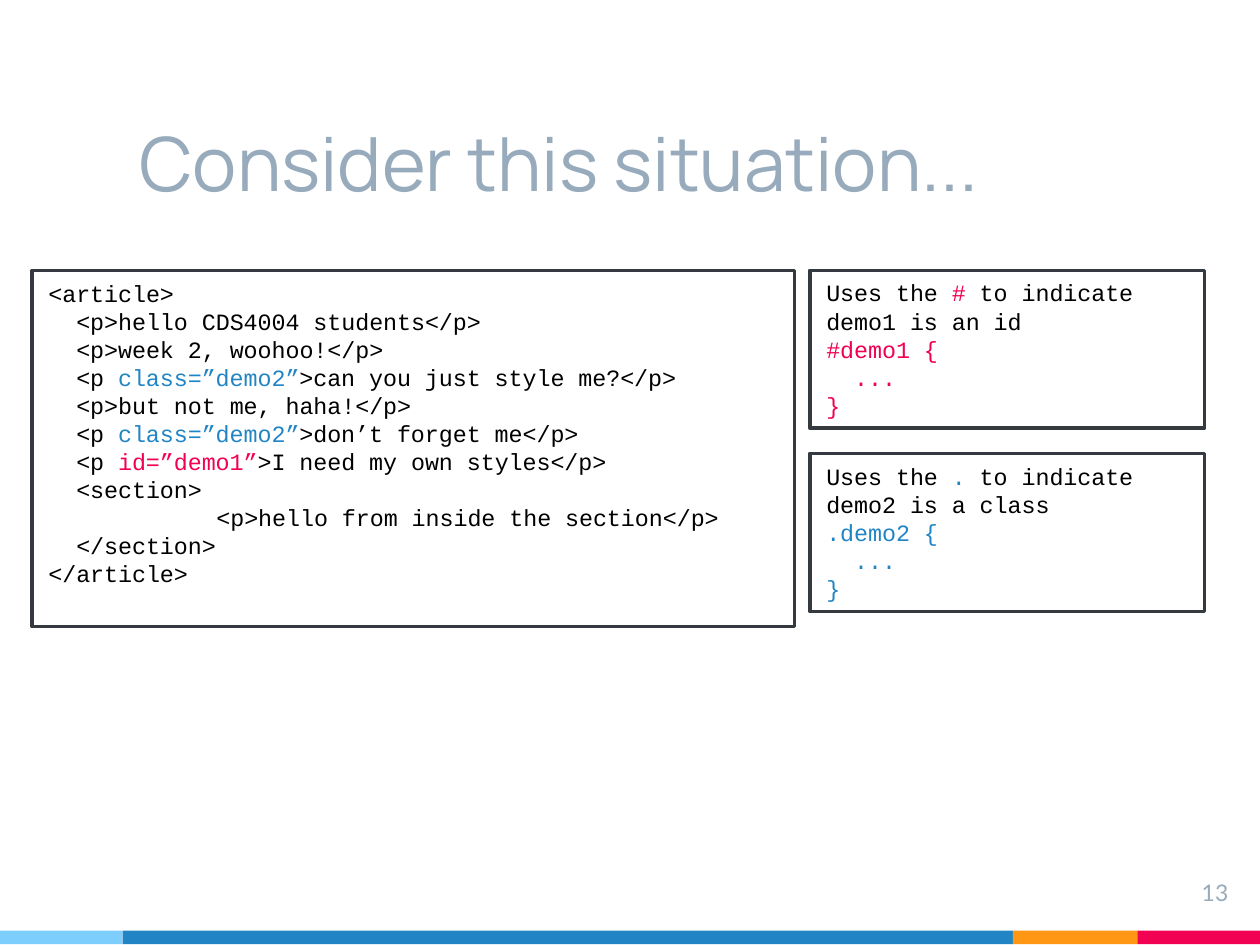
"""Build a slide on styling HTML elements by id and by class."""
from lxml import etree
from pptx import Presentation
from pptx import util as u
from pptx.dml import color
from pptx.enum import shapes, text
from pptx.oxml import ns

COLORS = {
    "title": "97ABBC", "border": "343A40", "code": "000000",
    "id": "F20052", "class": "2185C5",
    "sky": "7ECEFD", "blue": "2185C5", "orange": "FF9715", "pink": "F20253",
}
FOOTER_BANDS = [("sky", 0.73), ("blue", 5.3), ("orange", 0.74), ("pink", 0.73)]
CLASS_ATTRIBUTE = ("class=”demo2”", "class")
ARTICLE = [
    ["<article>"],
    ["  <p>hello CDS4004 students</p>"],
    ["  <p>week 2, woohoo!</p>"],
    ["  <p ", CLASS_ATTRIBUTE, ">can you just style me?</p>"],
    ["  <p>but not me, haha!</p>"],
    ["  <p ", CLASS_ATTRIBUTE, ">don’t forget me</p>"],
    ["  <p ", ("id=”demo1”", "id"), ">I need my own styles</p>"],
    ["  <section>"],
    ["\t<p>hello from inside the section</p>"],
    ["  </section>"],
    ["</article>"],
]


def rgb(name):
    """Return the named colour."""
    return color.RGBColor.from_string(COLORS[name])


def set_font(font, name, size, tint):
    """Set the typeface, size and colour of a font."""
    font.name, font.size = name, u.Pt(size)
    font.color.rgb = rgb(tint)


def add_tab_stop(para, position):
    """Add a left tab stop to a paragraph."""
    stops = etree.SubElement(para._p.get_or_add_pPr(), ns.qn("a:tabLst"))
    etree.SubElement(stops, ns.qn("a:tab"), pos=str(u.Inches(position)), algn="l")


def add_box(page, left, top, width, height):
    """Add a plain rectangle without a shadow."""
    box = page.shapes.add_shape(
        shapes.MSO_SHAPE.RECTANGLE,
        u.Inches(left), u.Inches(top), u.Inches(width), u.Inches(height))
    box.shadow.inherit = False
    return box


def add_footer(page):
    """Add the row of coloured bands along the bottom edge."""
    left = 0
    for name, width in FOOTER_BANDS:
        band = add_box(page, left, 5.54, width, 0.08)
        band.fill.solid()
        band.fill.fore_color.rgb = rgb(name)
        band.line.fill.background()
        left += width


def set_insets(frame):
    """Give a text frame equal insets on all sides."""
    frame.margin_left = frame.margin_right = u.Inches(0.1)
    frame.margin_top = frame.margin_bottom = u.Inches(0.1)


def add_title(page, wording):
    """Place and format the title placeholder."""
    title = page.shapes.title
    title.left, title.top = u.Inches(0.73), u.Inches(0.39)
    title.width, title.height = u.Inches(6.44), u.Inches(0.94)
    frame = title.text_frame
    frame.text = wording
    set_insets(frame)
    frame.auto_size = text.MSO_AUTO_SIZE.NONE
    frame.vertical_anchor = text.MSO_ANCHOR.BOTTOM
    para = frame.paragraphs[0]
    para.alignment = text.PP_ALIGN.LEFT
    set_font(para.font, "Manrope", 32, "title")


def add_page_number(page, number):
    """Add the page number at the lower right."""
    box = page.shapes.add_textbox(
        u.Inches(6.96), u.Inches(5.15), u.Inches(0.45), u.Inches(0.34))
    frame = box.text_frame
    frame.word_wrap = True
    set_insets(frame)
    para = frame.paragraphs[0]
    para.text = number
    para.alignment = text.PP_ALIGN.RIGHT
    set_font(para.font, "Lato", 9.8, "title")


def add_code(page, left, top, width, height, lines):
    """Add a bordered box of code whose spans may carry a colour."""
    box = add_box(page, left, top, width, height)
    box.fill.background()
    box.line.color.rgb = rgb("border")
    box.line.width = u.Pt(1.5)
    frame = box.text_frame
    frame.word_wrap = True
    frame.vertical_anchor = text.MSO_ANCHOR.TOP
    for index, spans in enumerate(lines):
        para = frame.add_paragraph() if index else frame.paragraphs[0]
        para.alignment = text.PP_ALIGN.LEFT
        if spans[0][0] == "\t":
            add_tab_stop(para, 1)
        set_font(para.font, "Courier New", 10, "code")
        for span in spans:
            wording, tint = (span, "code") if isinstance(span, str) else span
            run = para.add_run()
            run.text = wording
            set_font(run.font, "Courier New", 10, tint)


def add_selector(page, top, mark, name, kind, article):
    """Add a box that explains one kind of CSS selector."""
    rule = [f"{mark}{name} {{", "  ...", "}"]
    lines = [["Uses the ", (mark, kind), f" to indicate {name} is {article} {kind}"]]
    lines += [[(line, kind)] for line in rule]
    add_code(page, 4.82, top, 2.35, 0.94, lines)


def main():
    """Build and save the deck."""
    deck = Presentation()
    deck.slide_width = u.Inches(10 * 0.75)
    deck.slide_height = u.Inches(7.5 * 0.75)
    page = deck.slides.add_slide(deck.slide_layouts.get_by_name("Title Only"))
    add_footer(page)
    add_page_number(page, "13")
    add_title(page, "Consider this situation...")
    add_selector(page, 1.61, "#", "demo1", "id", "an")
    add_code(page, 0.19, 1.61, 4.54, 2.12, ARTICLE)
    add_selector(page, 2.7, ".", "demo2", "class", "a")
    deck.save("out.pptx")


if __name__ == "__main__":
    main()
